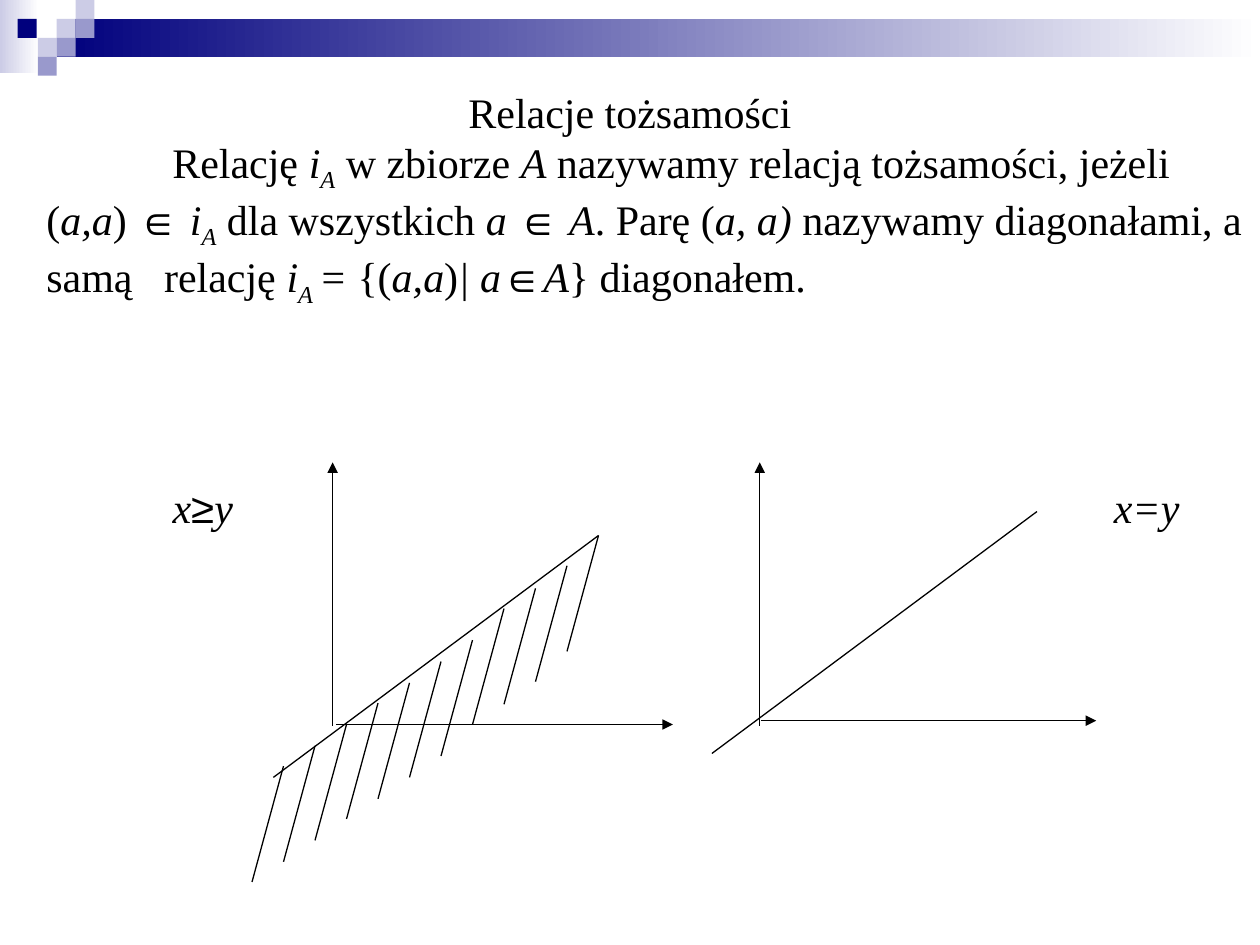
from lxml import etree
from pptx import Presentation
from pptx.dml.color import RGBColor
from pptx.enum import shapes, text
from pptx.oxml.ns import qn
from pptx.util import Inches, Pt

COLORS = {"navy": "00007D", "mid": "9999CC", "pale": "CCCCE6",
          "white": "FFFFFF", "ink": "000000"}
SERIF, SANS = "Times New Roman", "Arial"

# left, top, width, height, colours (two make a gradient)
BANDS = [(0, 0, 0.31, 0.58, ("pale", "white")),
         (0.45, 0.15, 9.55, 0.3, ("navy", "white"))]
SQUARE = 0.15
SQUARES = [(0.45, 0.15, "pale"), (0.6, 0, "pale"), (0.6, 0.15, "mid"),
           (0.3, 0.3, "pale"), (0.14, 0.15, "navy"), (0.45, 0.3, "mid"),
           (0.3, 0.45, "mid")]

# text, style: "" upright, i italic, s italic subscript, m italic symbol
TITLE = [("Relacje tożsamości", "")]
DEFINITION = [
    ("Relację ", ""), ("i", "i"), ("A", "s"), (" w zbiorze ", ""), ("A", "i"),
    (" nazywamy relacją tożsamości, jeżeli (", ""), ("a,a", "i"), (") ", ""),
    ("∈", "m"), (" i", "i"), ("A", "s"), (" dla wszystkich ", ""), ("a ", "i"),
    ("∈", "m"), (" A", "i"), (". Parę (", ""), ("a, a)", "i"),
    (" nazywamy diagonałami, a samą   relację ", ""), ("i", "i"), ("A ", "s"),
    ("= ", "i"), ("{(", ""), ("a,a", "i"), (")", ""), ("| a", "i"),
    ("∈", "m"), ("A", "i"), ("} diagonałem.", ""),
]
LABELS = [(1.37, [("x", "i"), ("≥", "m"), ("y", "i")]),
          (8.84, [("x=y", "i")])]
LABEL_TOP = 3.82

# x1, y1, x2, y2; an arrow points at its second end
AXES = [(2.64, 5.76, 2.64, 3.67), (2.67, 5.75, 5.34, 5.75),
        (6.03, 5.76, 6.03, 3.67), (6.04, 5.72, 8.7, 5.72)]
DIAGONALS = [(4.75, 4.25, 2.17, 6.17), (8.23, 4.06, 5.65, 5.98)]
HATCH_LEFT, HATCH_STEP, HATCH_DROP = 2.25, 0.25, 0.92
HATCH_TOPS = [6.08, 5.92, 5.75, 5.58, 5.42, 5.25, 5.08, 4.83, 4.67, 4.49, 4.25]


def rgb(name):
    return RGBColor.from_string(COLORS[name])


def add_block(s, left, top, width, height, *colors):
    sp = s.shapes.add_shape(shapes.MSO_SHAPE.RECTANGLE, Inches(left), Inches(top),
                            Inches(width), Inches(height))
    sp.shadow.inherit = False
    sp.line.fill.background()
    if len(colors) == 1:
        sp.fill.solid()
        sp.fill.fore_color.rgb = rgb(colors[0])
        return
    sp.fill.gradient()
    sp.fill.gradient_angle = 0
    for stop, color, position in zip(sp.fill.gradient_stops, colors, (0, 1)):
        stop.color.rgb = rgb(color)
        stop.position = position


def write(sp, runs, align=text.PP_ALIGN.LEFT, wrap=True):
    """Fill a text shape with one paragraph of styled runs; return the paragraph."""
    tf = sp.text_frame
    tf.word_wrap = wrap
    tf.auto_size = text.MSO_AUTO_SIZE.NONE
    tf.vertical_anchor = text.MSO_ANCHOR.TOP
    tf.margin_top = tf.margin_bottom = 0
    p = tf.paragraphs[0]
    p.alignment = align
    for content, style in runs:
        r = p.add_run()
        r.text = content
        r.font.size = Pt(24)
        r.font.name = SANS if style == "m" else SERIF
        r.font.italic = bool(style)
        r.font.color.rgb = rgb("ink")
        if style == "s":
            r.font._element.set("baseline", "-25000")
    return p


def add_line(s, x1, y1, x2, y2, arrow=False):
    line = s.shapes.add_connector(shapes.MSO_CONNECTOR.STRAIGHT, Inches(x1),
                                  Inches(y1), Inches(x2), Inches(y2))
    line.line.color.rgb = rgb("ink")
    line.line.width = Pt(0.75)
    if arrow:
        etree.SubElement(line.line._get_or_add_ln(), qn("a:tailEnd"), type="triangle")
    etree.SubElement(line._element.spPr, qn("a:effectLst"))


def main():
    prs = Presentation()
    prs.slide_width, prs.slide_height = Inches(10), Inches(7.5)
    s = prs.slides.add_slide(prs.slide_layouts[5])

    for left, top, width, height, colors in BANDS:
        add_block(s, left, top, width, height, *colors)
    for left, top, color in SQUARES:
        add_block(s, left, top, SQUARE, SQUARE, color)

    title = s.shapes.title
    title.left, title.top = Inches(0), Inches(0.69)
    title.width, title.height = Inches(10), Inches(0.39)
    write(title, TITLE, text.PP_ALIGN.CENTER)

    body = s.shapes.add_textbox(Inches(0), Inches(1.08), Inches(10), Inches(1.4))
    pPr = write(body, DEFINITION)._p.get_or_add_pPr()
    pPr.set("marL", str(Inches(0.27)))
    pPr.set("indent", str(Inches(1)))

    for left, runs in LABELS:
        label = s.shapes.add_textbox(Inches(left), Inches(LABEL_TOP),
                                     Inches(0.7), Inches(0.4))
        write(label, runs, wrap=False)
        label.text_frame.margin_left = label.text_frame.margin_right = 0

    for axis in AXES:
        add_line(s, *axis, arrow=True)
    for diagonal in DIAGONALS:
        add_line(s, *diagonal)
    for i, top in enumerate(HATCH_TOPS):
        x = HATCH_LEFT + i * HATCH_STEP
        add_line(s, x, top, x - HATCH_STEP, top + HATCH_DROP)

    prs.save("out.pptx")


if __name__ == "__main__":
    main()
